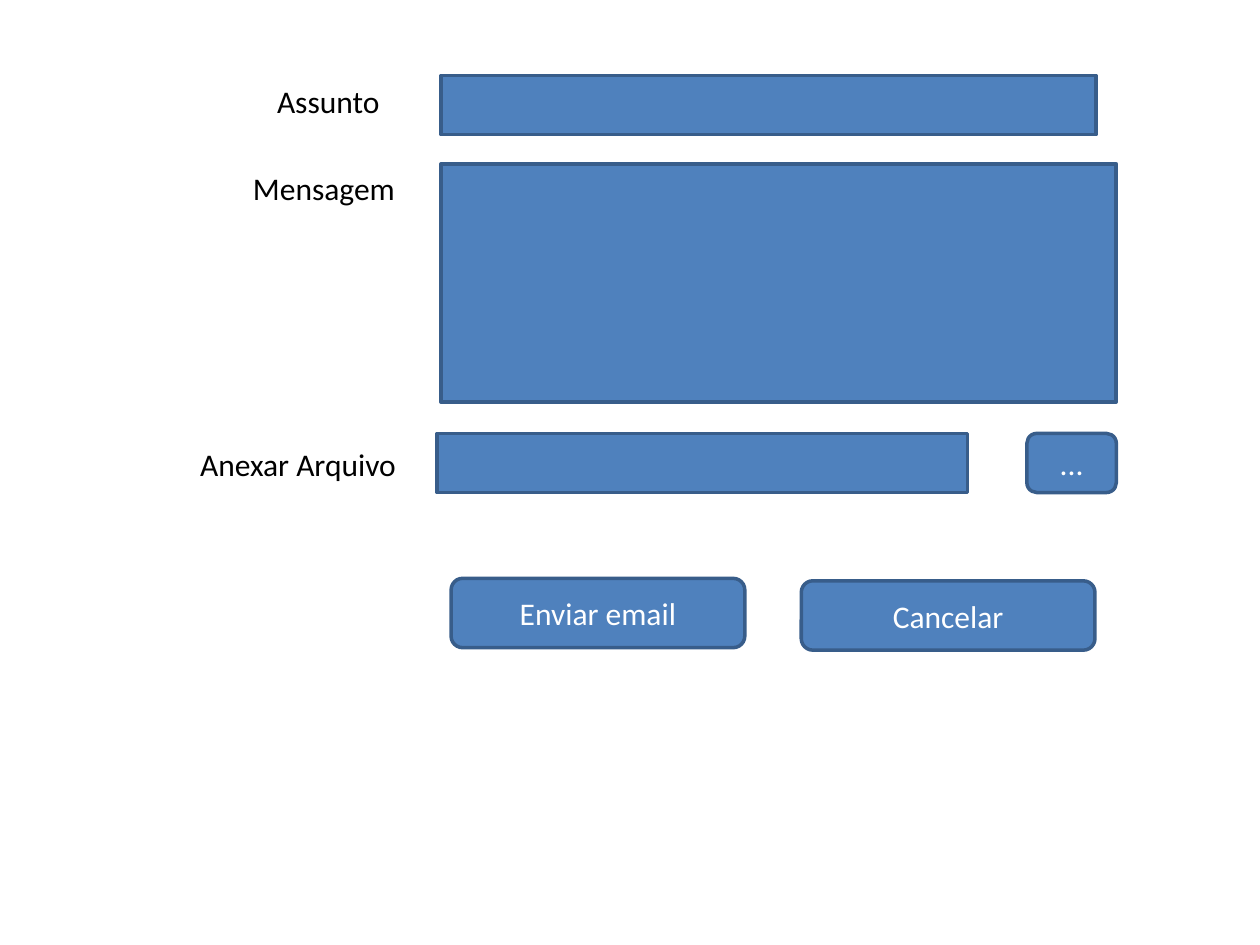
from dataclasses import dataclass

import pptx
import pptx.dml.color
import pptx.enum.shapes
import pptx.enum.text
import pptx.util

Pt = pptx.util.Pt
RGBColor = pptx.dml.color.RGBColor
Shapes = pptx.enum.shapes.MSO_SHAPE
Align = pptx.enum.text.PP_ALIGN
Anchor = pptx.enum.text.MSO_ANCHOR
AutoSize = pptx.enum.text.MSO_AUTO_SIZE


@dataclass(frozen=True)
class Theme:
    fill: RGBColor = RGBColor(0x4F, 0x81, 0xBD)
    border: RGBColor = RGBColor(0x38, 0x5D, 0x8A)
    label: RGBColor = RGBColor(0x00, 0x00, 0x00)
    button_text: RGBColor = RGBColor(0xFF, 0xFF, 0xFF)
    font: str = "Calibri"
    text_size: int = 18
    border_width: int = 2


THEME = Theme()

# Left, top, width and height in points.
LABELS = {
    "Assunto": (151.2, 43.2, 73.4, 28.8),
    "Mensagem": (137.5, 92.9, 95.8, 28.8),
    "Anexar Arquivo": (107.3, 250.6, 127.4, 28.8),
}
FIELDS = {
    "Assunto": (252, 43.2, 374.4, 33.8),
    "Mensagem": (252, 93.6, 385.9, 136.1),
    "Anexar Arquivo": (249.8, 247.7, 303.1, 33.8),
}
BUTTONS = {
    "...": (586.8, 247.7, 51.1, 33.8),
    "Enviar email": (257.8, 330.5, 167.8, 39.6),
    "Cancelar": (457.9, 331.9, 167.8, 39.6),
}


def apply_format(target, values):
    for name, value in values.items():
        setattr(target, name, value)


def write_text(shape, text, color, alignment, frame_format):
    frame = shape.text_frame
    apply_format(frame, {
        "margin_left": Pt(7.2), "margin_right": Pt(7.2),
        "margin_top": Pt(3.6), "margin_bottom": Pt(3.6),
        **frame_format,
    })
    paragraph = frame.paragraphs[0]
    paragraph.alignment = alignment
    run = paragraph.add_run()
    run.text = text
    apply_format(run.font, {"name": THEME.font, "size": Pt(THEME.text_size)})
    run.font.color.rgb = color


def add_label(slide, text, box):
    label = slide.shapes.add_textbox(*map(Pt, box))
    write_text(label, text, THEME.label, Align.LEFT,
               {"word_wrap": False, "auto_size": AutoSize.SHAPE_TO_FIT_TEXT})


def add_panel(slide, kind, box):
    """Add a filled, bordered shape and return it."""
    panel = slide.shapes.add_shape(kind, *map(Pt, box))
    panel.shadow.inherit = False
    panel.fill.solid()
    panel.fill.fore_color.rgb = THEME.fill
    panel.line.color.rgb = THEME.border
    panel.line.width = Pt(THEME.border_width)
    return panel


def add_button(slide, text, box):
    button = add_panel(slide, Shapes.ROUNDED_RECTANGLE, box)
    write_text(button, text, THEME.button_text, Align.CENTER,
               {"word_wrap": True, "vertical_anchor": Anchor.MIDDLE})


def main():
    presentation = pptx.Presentation()
    apply_format(presentation, {"slide_width": Pt(720), "slide_height": Pt(540)})
    slide = presentation.slides.add_slide(presentation.slide_layouts[6])
    for text, box in LABELS.items():
        add_panel(slide, Shapes.RECTANGLE, FIELDS[text])
        add_label(slide, text, box)
    for text, box in BUTTONS.items():
        add_button(slide, text, box)
    presentation.save("out.pptx")


if __name__ == "__main__":
    main()
